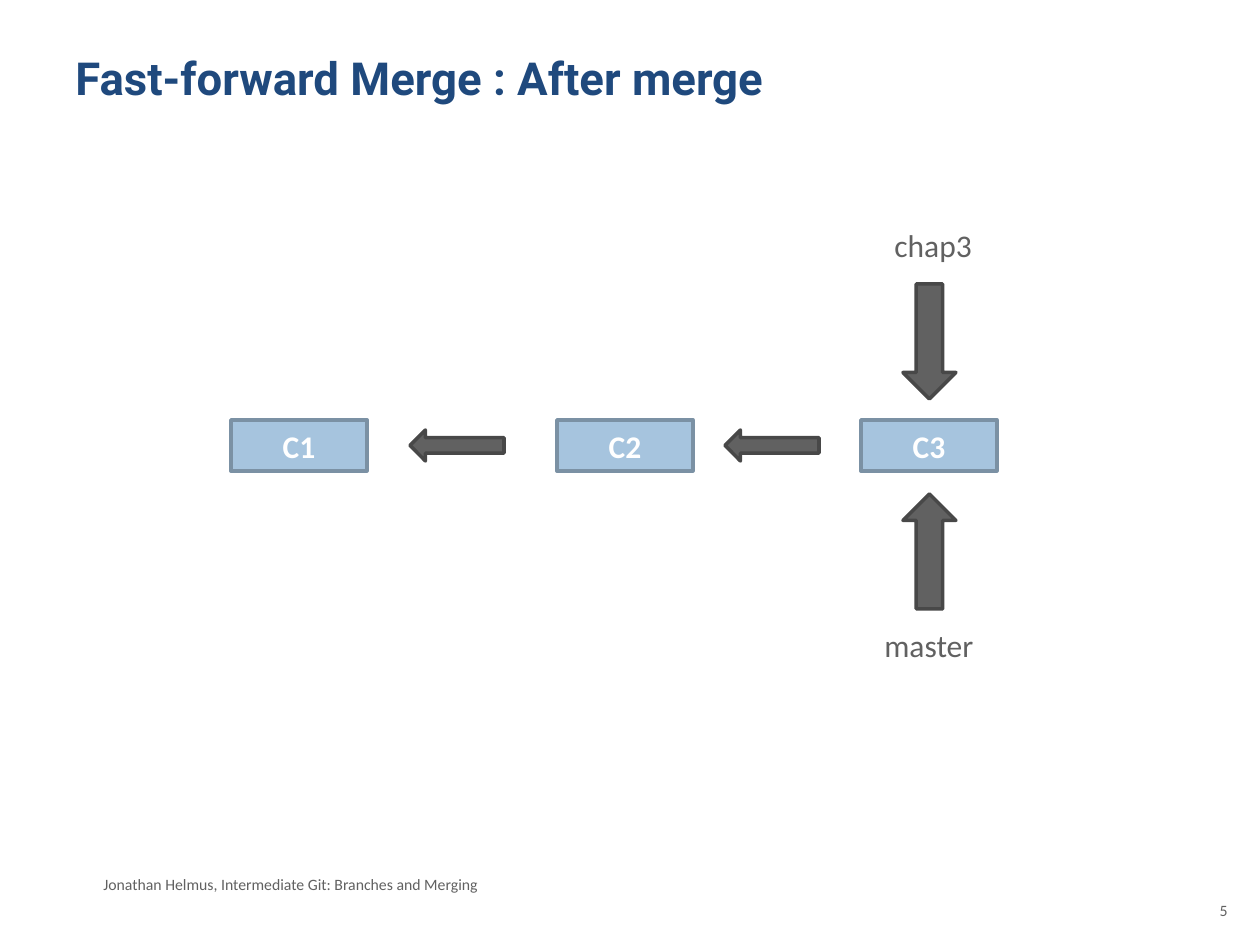
from pptx import Presentation
from pptx.dml.color import RGBColor
from pptx.enum.shapes import MSO_SHAPE
from pptx.enum.text import MSO_ANCHOR, PP_ALIGN
from pptx.util import Emu, Pt

PIXEL = 914400 // 126
NAVY = RGBColor(0x1F, 0x49, 0x7D)
GRAY = RGBColor(0x61, 0x61, 0x61)
DARK_GRAY = RGBColor(0x48, 0x48, 0x48)
BLUE = RGBColor(0xA6, 0xC4, 0xDE)
STEEL = RGBColor(0x7B, 0x91, 0xA4)
WHITE = RGBColor(0xFF, 0xFF, 0xFF)

TITLE = ("Fast-forward Merge : After merge", (63, 38, 1134, 158))
FOOTER = ("Jonathan Helmus, Intermediate Git: Branches and Merging", (91, 869, 819, 32))
PAGE_NUMBER = ("5", (1187, 895, 53, 50))
BRANCHES = [("chap3", (882, 220, 103, 51)), ("master", (872, 620, 116, 51))]

COMMITS = [("C1", 231), ("C2", 557), ("C3", 861)]
COMMIT_TOP, COMMIT_WIDTH, COMMIT_HEIGHT = 420, 136, 51
PARENT_ARROWS = [410, 725]
PARENT_WIDTH, PARENT_HEIGHT = 94, 31
BRANCH_ARROWS = [(MSO_SHAPE.DOWN_ARROW, 284), (MSO_SHAPE.UP_ARROW, 494)]
BRANCH_WIDTH, BRANCH_HEIGHT = 53, 115


def scaled(place):
    return [Emu(length * PIXEL) for length in place]


def write(box, text, size, color, font="Calibri", bold=False, align=PP_ALIGN.LEFT):
    para = box.text_frame.paragraphs[0]
    para.text = text
    para.alignment = align
    para.font.name = font
    para.font.size = Pt(size)
    para.font.bold = bold
    para.font.color.rgb = color


def add_text(content, size, color, wrap=True, inset=6, **style):
    text, place = content
    box = page.shapes.add_textbox(*scaled(place))
    frame = box.text_frame
    frame.word_wrap = wrap
    frame.margin_left = frame.margin_right = Emu(91440)
    frame.margin_top = frame.margin_bottom = Emu(inset * PIXEL)
    write(box, text, size, color, **style)


def add_block(kind, place, fill, outline):
    shape = page.shapes.add_shape(kind, *scaled(place))
    shape.shadow.inherit = False
    shape.fill.solid()
    shape.fill.fore_color.rgb = fill
    shape.line.color.rgb = outline
    shape.line.width = Pt(2)
    return shape


deck = Presentation()
deck.slide_width, deck.slide_height = scaled((1260, 945))
page = deck.slides.add_slide(deck.slide_layouts[6])

add_text(TITLE, 26, NAVY, inset=12, font="Roboto", bold=True)
add_text(FOOTER, 9, GRAY)
add_text(PAGE_NUMBER, 9, GRAY, align=PP_ALIGN.RIGHT)

for name, left in COMMITS:
    place = (left, COMMIT_TOP, COMMIT_WIDTH, COMMIT_HEIGHT)
    commit = add_block(MSO_SHAPE.RECTANGLE, place, BLUE, STEEL)
    commit.text_frame.vertical_anchor = MSO_ANCHOR.MIDDLE
    write(commit, name, 18, WHITE, bold=True, align=PP_ALIGN.CENTER)

parent_top = COMMIT_TOP + (COMMIT_HEIGHT - PARENT_HEIGHT) // 2
for left in PARENT_ARROWS:
    place = (left, parent_top, PARENT_WIDTH, PARENT_HEIGHT)
    add_block(MSO_SHAPE.LEFT_ARROW, place, GRAY, DARK_GRAY)

branch_left = COMMITS[-1][1] + (COMMIT_WIDTH - BRANCH_WIDTH + 1) // 2
for kind, top in BRANCH_ARROWS:
    add_block(kind, (branch_left, top, BRANCH_WIDTH, BRANCH_HEIGHT), GRAY, DARK_GRAY)

for branch in BRANCHES:
    add_text(branch, 18, GRAY, wrap=False)

deck.save("out.pptx")
